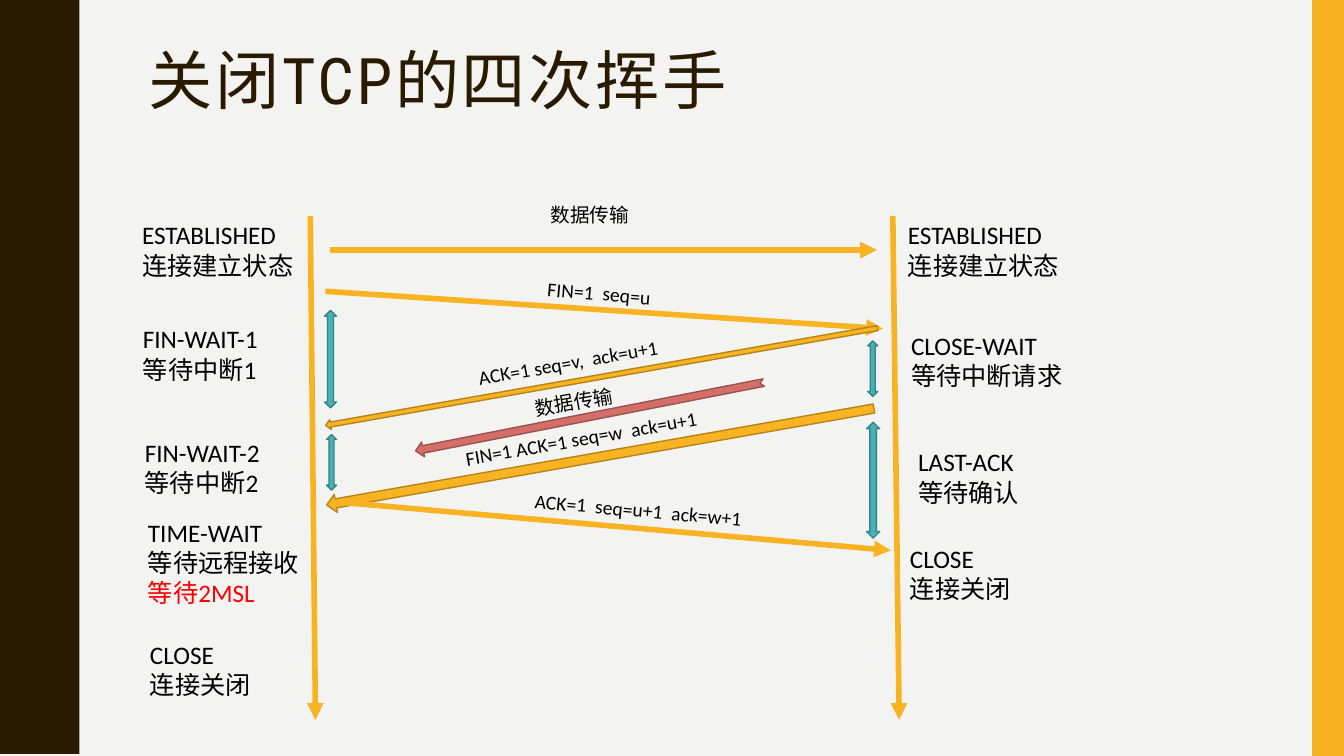
from lxml import etree
from pptx import Presentation
from pptx import util as u
from pptx.dml.color import RGBColor
from pptx.enum import shapes, text
from pptx.oxml.ns import qn

PRESET = shapes.MSO_SHAPE
WIDTH, HEIGHT = 33.87, 19.05  # all lengths are in centimetres
PAPER, BROWN, BLACK, RED = "F3F3F2", "2A1A00", "000000", "FF0000"
AMBER, AMBER_EDGE = "F8B323", "B7841A"
TEAL, TEAL_EDGE = "46B2B5", "348486"
ROSE, ROSE_EDGE = "D36F68", "9C524D"

TITLE = "关闭TCP的四次挥手"

# x, y from the wave's trough to its crest
HALF_WAVE = [(1.98, 0), (1.98, 0.18), (2.01, 0.36), (2.03, 0.51), (2.06, 0.64),
             (2.11, 0.74), (2.16, 0.84), (2.21, 0.97), (2.26, 1.07), (2.31, 1.17),
             (2.36, 1.27), (2.41, 1.4), (2.44, 1.55), (2.46, 1.73), (2.46, 1.9)]
WAVE_PERIOD = HEIGHT / 5

# left, top, lines
STATES = [
    (3.33, 5.41, ["ESTABLISHED", "连接建立状态"]),
    (3.35, 8.03, ["FIN-WAIT-1", "等待中断1"]),
    (3.4, 10.9, ["FIN-WAIT-2", "等待中断2"]),
    (3.48, 12.9, ["TIME-WAIT", "等待远程接收", "等待2MSL"]),
    (3.53, 15.98, ["CLOSE", "连接关闭"]),
    (22.63, 5.41, ["ESTABLISHED", "连接建立状态"]),
    (22.71, 8.2, ["CLOSE-WAIT", "等待中断请求"]),
    (22.89, 11.13, ["LAST-ACK", "等待确认"]),
    (22.68, 13.56, ["CLOSE", "连接关闭"]),
]

# left, top, rotation, wording
CAPTIONS = [
    (8.53, 4.98, 0, "数据传输"),
    (8.76, 6.96, 4.9, "FIN=1  seq=u"),
    (7.98, 8.71, 350.1, "ACK=1 seq=v,  ack=u+1"),
    (8.13, 9.7, 350.1, "数据传输"),
    (8.31, 10.62, 350.1, "FIN=1 ACK=1 seq=w  ack=u+1"),
    (9.75, 12.42, 5.1, "ACK=1  seq=u+1  ack=w+1"),
]

# start x, start y, end x, end y
LIFELINES = [(7.82, 5.44, 7.95, 18.14), (22.5, 5.44, 22.66, 18.14)]
DATA = (8.31, 6.3, 22.1, 6.3)
FIN = (8.2, 7.34, 22.25, 8.28)
LAST_ACK = (8.51, 12.65, 22.45, 13.87)

# left, top, width, height, rotation
SERVER_ACK = (8.1, 9.37, 14.12, 0.25, 350)
SERVER_FIN = (8.13, 11.28, 14, 0.46, 350)
SERVER_DATA = (10.39, 10.31, 8.94, 0.38, 168.9)
WAITS = [
    (8.18, 7.82, 0.3, 2.46, 0),
    (8.23, 10.95, 0.25, 1.4, 0),
    (21.87, 8.59, 0.25, 1.4, 0),
    (21.84, 10.64, 0.33, 2.92, 0),
]


def color(value):
    return RGBColor.from_string(value)


def paint(shape, fill, edge=None):
    shape.shadow.inherit = False
    shape.fill.solid()
    shape.fill.fore_color.rgb = color(fill)
    if edge:
        shape.line.color.rgb = color(edge)
        shape.line.width = u.Pt(1)
    else:
        shape.line.fill.background()


def add_preset(page, preset, place, fill, edge=None):
    *frame, rotation = place
    shape = page.shapes.add_shape(preset, *map(u.Cm, frame))
    shape.rotation = rotation
    paint(shape, fill, edge)


def add_arrow_line(page, ends):
    line = page.shapes.add_connector(shapes.MSO_CONNECTOR.STRAIGHT, *map(u.Cm, ends))
    line.line.color.rgb = color(AMBER)
    line.line.width = u.Pt(4)
    properties = line._element.spPr
    etree.SubElement(properties.find(qn("a:ln")), qn("a:tailEnd"), type="triangle")
    etree.SubElement(properties, qn("a:effectLst"))


def add_text(page, frame, lines, size, align, rotation=0):
    box = page.shapes.add_textbox(*map(u.Cm, frame))
    box.rotation = rotation
    box.text_frame.word_wrap = True
    box.text_frame.text = "\n".join(lines)
    for para in box.text_frame.paragraphs:
        para.alignment = align
        for span in para.runs:
            span.font.name = "Calibri"
            span.font.size = u.Pt(size)
            span.font.color.rgb = color(RED if "2MSL" in span.text else BLACK)


def add_wave_edge(page):
    wave = HALF_WAVE + [(x, WAVE_PERIOD - y) for x, y in reversed(HALF_WAVE)]
    edge = [(x, y + turn * WAVE_PERIOD) for turn in range(5) for x, y in wave]
    builder = page.shapes.build_freeform(0, 0, scale=u.Cm(1))
    builder.add_line_segments(edge + [(0, HEIGHT)], close=True)
    paint(builder.convert_to_shape(), BROWN)


def set_title(page):
    title = page.shapes.title
    title.left, title.top, title.width, title.height = map(u.Cm, (3.48, 1.07, 28.27, 2.06))
    frame = title.text_frame
    frame.text = TITLE
    frame.auto_size = text.MSO_AUTO_SIZE.NONE
    frame.vertical_anchor = text.MSO_ANCHOR.MIDDLE
    para = frame.paragraphs[0]
    para.alignment = text.PP_ALIGN.LEFT
    para.line_spacing = 0.9
    font = para.runs[0].font
    font.name = "Roboto Condensed"
    font.size = u.Pt(45.9)
    font.color.rgb = color(BROWN)
    para.runs[0]._r.get_or_add_rPr().set("spc", "200")


def main():
    deck = Presentation()
    deck.slide_width, deck.slide_height = u.Cm(WIDTH), u.Cm(HEIGHT)
    page = deck.slides.add_slide(deck.slide_layouts[5])
    page.background.fill.solid()
    page.background.fill.fore_color.rgb = color(PAPER)

    add_wave_edge(page)
    add_preset(page, PRESET.RECTANGLE, (33.07, 0, 0.8, HEIGHT, 0), AMBER)
    set_title(page)

    for ends in LIFELINES + [DATA, FIN]:
        add_arrow_line(page, ends)
    for place in (SERVER_ACK, SERVER_FIN):
        add_preset(page, PRESET.LEFT_ARROW, place, AMBER, AMBER_EDGE)
    add_arrow_line(page, LAST_ACK)

    for left, top, lines in STATES:
        height = 0.26 + 0.77 * len(lines)
        add_text(page, (left, top, 4.42, height), lines, 18, text.PP_ALIGN.LEFT)
    for left, top, rotation, wording in CAPTIONS:
        add_text(page, (left, top, 12.67, 0.86), [wording], 14,
                 text.PP_ALIGN.CENTER, rotation)

    for place in WAITS:
        add_preset(page, PRESET.UP_DOWN_ARROW, place, TEAL, TEAL_EDGE)
    add_preset(page, PRESET.NOTCHED_RIGHT_ARROW, SERVER_DATA, ROSE, ROSE_EDGE)
    deck.save("out.pptx")


if __name__ == "__main__":
    main()
